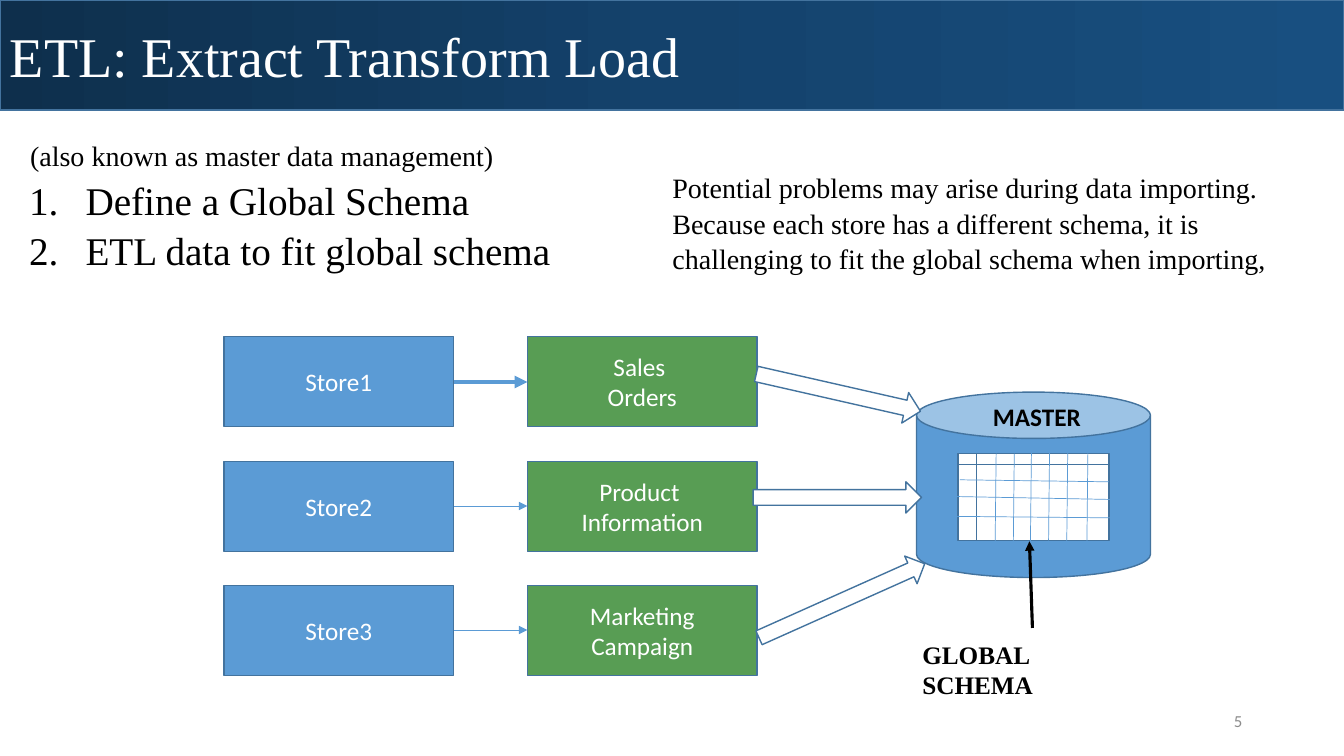
import copy
import pptx
import pptx.util
import pptx.dml.color
import pptx.enum.shapes
import pptx.enum.text
import pptx.oxml
import pptx.oxml.ns

PX = 9144  # EMU per px, 100 px to the inch
SHAPE = pptx.enum.shapes.MSO_SHAPE
ALIGN = pptx.enum.text.PP_ALIGN
MIDDLE = pptx.enum.text.MSO_ANCHOR.MIDDLE
SERIF, SANS = "Times New Roman", "Calibri"
COLORS = {"white": "FFFFFF", "black": "000000", "blue": "5B9BD5", "green": "589D54",
          "edge": "43739E", "gray": "8C8C8C",
          "navy": "0E2F4C", "mid": "14426C", "steel": "184F80"}
RGB = {name: pptx.dml.color.RGBColor.from_string(c) for name, c in COLORS.items()}
qn = pptx.oxml.ns.qn


def write(tf, lines, size, font, color, align=ALIGN.LEFT, bold=False, numbered=False, spacing=None):
    tf.word_wrap = True
    for i, line in enumerate(lines):
        p = tf.paragraphs[0] if i == 0 else tf.add_paragraph()
        p.alignment = align
        if spacing:
            p.line_spacing = spacing
        if numbered:
            pPr = p._p.get_or_add_pPr()
            pPr.set("marL", str(56 * PX))
            pPr.set("indent", str(-56 * PX))
            pPr.append(pptx.oxml.parse_xml(
                f'<a:buAutoNum {pptx.oxml.ns.nsdecls("a")} type="arabicPeriod"/>'))
        for j, part in enumerate(line.split("\n")):
            if j:
                p.add_line_break()
            r = p.add_run()
            r.text = part
            r.font.size = pptx.util.Pt(size)
            r.font.name = font
            r.font.bold = bold
            r.font.color.rgb = RGB[color]


def add_line(shapes, x1, y1, x2, y2, color="blue", width=0.5, arrow=False):
    s = shapes.add_connector(pptx.enum.shapes.MSO_CONNECTOR.STRAIGHT,
                             x1 * PX, y1 * PX, x2 * PX, y2 * PX)
    s.line.color.rgb = RGB[color]
    s.line.width = pptx.util.Pt(width)
    if arrow:
        tail = s.line._get_or_add_ln().makeelement(qn("a:tailEnd"), {"type": "triangle"})
        s.line._get_or_add_ln().append(tail)
    spPr = s._element.spPr
    spPr.append(spPr.makeelement(qn("a:effectLst"), {}))


prs = pptx.Presentation()
prs.slide_width, prs.slide_height = 1333 * PX, 750 * PX
slide = prs.slides.add_slide(prs.slide_layouts[6])

# Title bar with three-stop gradient
bar = slide.shapes.add_shape(SHAPE.RECTANGLE, 0, 0, 1333 * PX, 109 * PX)
bar.shadow.inherit = False
bar.line.color.rgb = RGB["edge"]
bar.line.width = pptx.util.Pt(1)
bar.fill.gradient()
bar.fill.gradient_angle = 0
stop_list = bar._element.spPr.find(".//" + qn("a:gsLst"))
stop_list.append(copy.deepcopy(stop_list[0]))
for stop, position, color in zip(bar.fill.gradient_stops, (0, 0.5, 1), ("navy", "mid", "steel")):
    stop.position = position
    stop.color.rgb = RGB[color]
bar.text_frame.vertical_anchor = MIDDLE
write(bar.text_frame, ["ETL: Extract Transform Load"], 40, SERIF, "white")

# Store and data boxes in rows, database, block arrows
rows = [("Store1", "Sales \nOrders"), ("Store2", "Product \nInformation"),
        ("Store3", "Marketing Campaign")]
flow = []
for i, (store, data) in enumerate(rows):
    y = 334 + round(123.5 * i)
    flow.append((SHAPE.RECTANGLE, 222, y, 228, 89, 0, "blue", store))
    flow.append((SHAPE.RECTANGLE, 523, y, 228, 89, 0, "green", data))
flow += [(SHAPE.CAN, 909, 389, 232, 184, 0, "blue", ""),
         (SHAPE.RIGHT_ARROW, 748, 374, 167, 31, 12.8, "white", ""),
         (SHAPE.RIGHT_ARROW, 747, 478, 167, 31, 0, "white", ""),
         (SHAPE.RIGHT_ARROW, 745, 581, 180, 30, 335.9, "white", "")]

# Schema table icon sits in a group on the database
for kind, x, y, w, h, rotation, fill, text in flow + [
        (SHAPE.FLOWCHART_INTERNAL_STORAGE, 950, 450, 150, 86, 0, "white", "")]:
    in_icon = kind == SHAPE.FLOWCHART_INTERNAL_STORAGE
    shapes = slide.shapes.add_group_shape().shapes if in_icon else slide.shapes
    s = shapes.add_shape(kind, x * PX, y * PX, w * PX, h * PX)
    s.shadow.inherit = False
    s.rotation = rotation
    s.fill.solid()
    s.fill.fore_color.rgb = RGB[fill]
    s.line.color.rgb = RGB["edge"]
    s.line.width = pptx.util.Pt(1)
    if text:
        s.text_frame.vertical_anchor = MIDDLE
        write(s.text_frame, [text], 18, SANS, "white", ALIGN.CENTER)
icon = shapes

# Table rules
for x, y in [(988, 450), (1006, 450), (1023, 448), (1041, 445), (1059, 449), (1079, 449)]:
    add_line(icon, x, y, x - 1, y + 91)
add_line(icon, 1100, 478, 952, 476)
add_line(slide.shapes, 1128, 496, 915, 492)
add_line(slide.shapes, 1128, 514, 915, 512)

# Arrows from stores to data, and from label to table
for y, width in [(379, 3), (502, 0.5), (625, 0.5)]:
    add_line(slide.shapes, 450, y, 523, y, width=width, arrow=True)
add_line(slide.shapes, 1024, 623, 1021, 537, "black", 2.25, True)

# Free text
notes = [
    (20, 131, 954, 77, ["(also known as master data management)"], 20, SERIF, {"spacing": 1.05}),
    (19, 168, 667, 104, ["Define a Global Schema", "ETL data to fit global schema"], 28, SERIF,
     {"numbered": True, "spacing": 1.05}),
    (657, 163, 659, 111,
     ["Potential problems may arise during data importing.",
      "Because each store has a different schema, it is challenging to fit the global schema "
      "when importing,"], 20, SERIF, {"spacing": 1.05}),
    (975, 393, 177, 40, ["MASTER"], 18, SANS, {"bold": True}),
    (905, 629, 230, 70, ["GLOBAL SCHEMA"], 18, SERIF, {"bold": True}),
]
for x, y, w, h, lines, size, font, options in notes:
    s = slide.shapes.add_textbox(x * PX, y * PX, w * PX, h * PX)
    write(s.text_frame, lines, size, font, "black", **options)

# Slide number
s = slide.shapes.add_textbox(942 * PX, 695 * PX, 300 * PX, 40 * PX)
s.text_frame.vertical_anchor = MIDDLE
write(s.text_frame, ["5"], 12, SANS, "gray", ALIGN.RIGHT)

prs.save("out.pptx")
